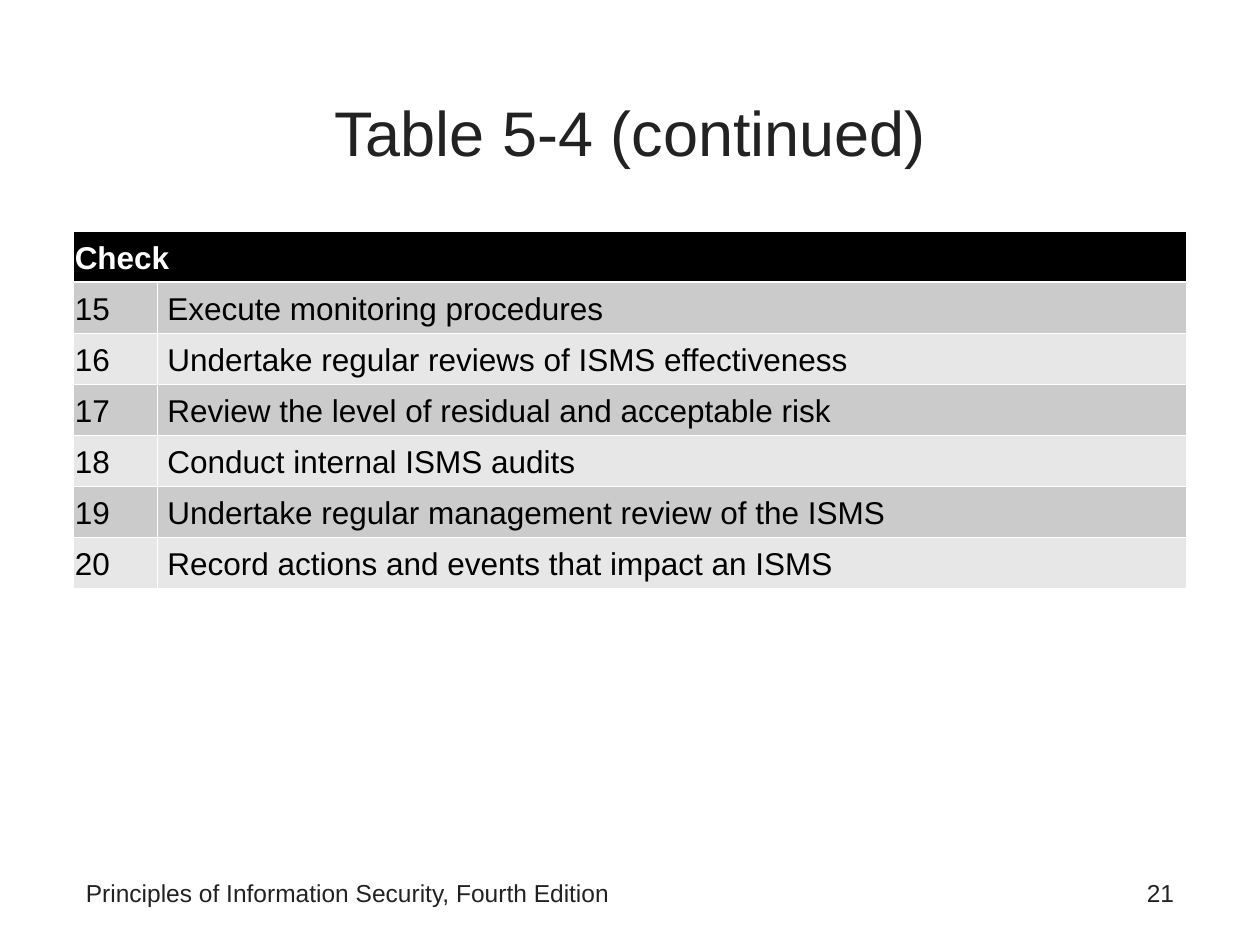
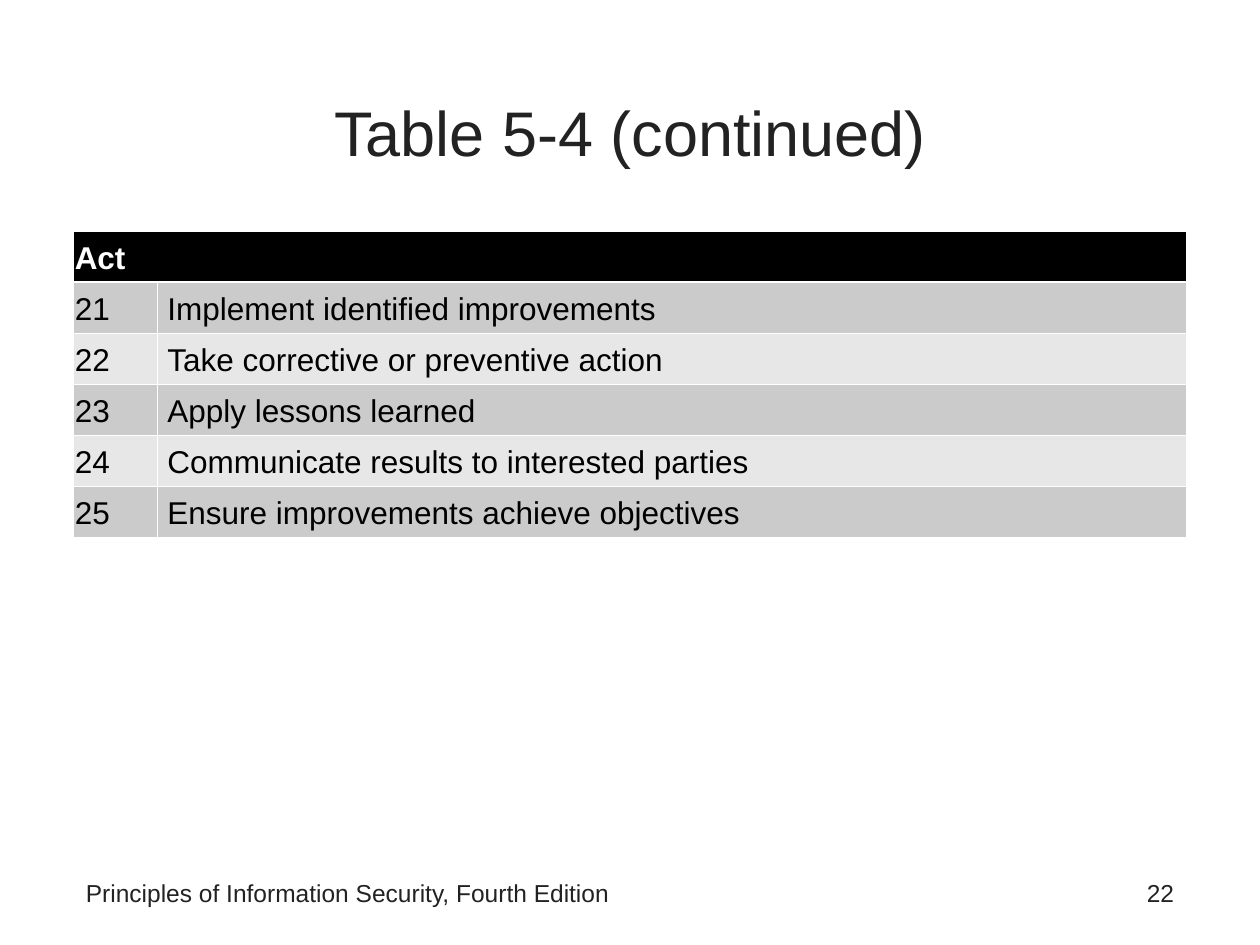
from lxml import etree
from pptx import Presentation
from pptx.dml.color import RGBColor
from pptx.enum.text import MSO_ANCHOR, MSO_AUTO_SIZE, PP_ALIGN
from pptx.oxml.ns import qn
from pptx.util import Pt

LEFT, CENTER, RIGHT = PP_ALIGN.LEFT, PP_ALIGN.CENTER, PP_ALIGN.RIGHT
MIDDLE, BOTTOM = MSO_ANCHOR.MIDDLE, MSO_ANCHOR.BOTTOM
NO_AUTOFIT = MSO_AUTO_SIZE.NONE

TITLE = "Table 5-4 (continued)"
FOOTER = "Principles of Information Security, Fourth Edition"
PHASES = [
    {"slide_number": 21, "name": "Check", "first_step": 15, "steps": [
        "Execute monitoring procedures",
        "Undertake regular reviews of ISMS effectiveness",
        "Review the level of residual and acceptable risk",
        "Conduct internal ISMS audits",
        "Undertake regular management review of the ISMS",
        "Record actions and events that impact an ISMS",
    ]},
    {"slide_number": 22, "name": "Act", "first_step": 21, "steps": [
        "Implement identified improvements",
        "Take corrective or preventive action",
        "Apply lessons learned",
        "Communicate results to interested parties",
        "Ensure improvements achieve objectives",
    ]},
]

FONT = "Arial"
INK, BLACK, WHITE = "222222", "000000", "FFFFFF"
BANDS = ("CBCBCB", "E7E7E7")
MARGIN, CONTENT_WIDTH = 42, 636
TABLE_TOP, ROW_HEIGHT = 132, 29.2
COLUMN_WIDTHS = (48, CONTENT_WIDTH - 48)
CELL_INSETS = (0.72, 5.72)
THIN, THICK = 0.45, 1.47
FOOTER_TOP, FOOTER_HEIGHT = 498, 30
FOOTER_WIDTH, NUMBER_WIDTH = 462, 162


def color(hex_string):
    return RGBColor.from_string(hex_string)


def write(text_frame, text, size, hex_color, alignment=LEFT, bold=False):
    text_frame.text = text
    paragraph = text_frame.paragraphs[0]
    paragraph.alignment = alignment
    font = paragraph.font
    font.name, font.size, font.bold = FONT, Pt(size), bold
    font.color.rgb = color(hex_color)


def add_title(slide):
    title = slide.shapes.title
    title.left, title.top = Pt(MARGIN), Pt(30)
    title.width, title.height = Pt(CONTENT_WIDTH), Pt(90)
    title.text_frame.auto_size = NO_AUTOFIT
    title.text_frame.vertical_anchor = MIDDLE
    write(title.text_frame, TITLE, 36, INK, CENTER)


def add_footer_text(slide, text, left, width, alignment):
    box = slide.shapes.add_textbox(Pt(left), Pt(FOOTER_TOP), Pt(width), Pt(FOOTER_HEIGHT))
    box.text_frame.word_wrap = True
    write(box.text_frame, text, 14, INK, alignment)


def set_borders(cell, top, bottom):
    """Draw white borders; call before the fill, which must follow them in the XML."""
    properties = cell._tc.get_or_add_tcPr()
    for side, width in (("L", THIN), ("R", THIN), ("T", top), ("B", bottom)):
        line = etree.SubElement(properties, qn(f"a:ln{side}"), w=str(int(Pt(width))))
        fill = etree.SubElement(line, qn("a:solidFill"))
        etree.SubElement(fill, qn("a:srgbClr"), val=WHITE)


def add_steps_table(slide, phase):
    steps = enumerate(phase["steps"], phase["first_step"])
    rows = [(phase["name"], "")] + [(str(number), step) for number, step in steps]
    frame = slide.shapes.add_table(len(rows), len(COLUMN_WIDTHS), Pt(MARGIN), Pt(TABLE_TOP),
                                   Pt(CONTENT_WIDTH), Pt(ROW_HEIGHT * len(rows)))
    table = frame.table
    for column, width in zip(table.columns, COLUMN_WIDTHS):
        column.width = Pt(width)
    for row_index, texts in enumerate(rows):
        table.rows[row_index].height = Pt(ROW_HEIGHT)
        is_header = row_index == 0
        for column_index, text in enumerate(texts):
            cell = table.cell(row_index, column_index)
            cell.margin_left, cell.margin_right = Pt(CELL_INSETS[column_index]), Pt(0.72)
            cell.margin_top = cell.margin_bottom = Pt(3.6)
            cell.vertical_anchor = BOTTOM
            set_borders(cell, top=THICK if row_index == 1 else THIN,
                        bottom=THICK if is_header else THIN)
            cell.fill.solid()
            cell.fill.fore_color.rgb = color(BLACK if is_header else BANDS[(row_index - 1) % 2])
            write(cell.text_frame, text, 18, WHITE if is_header else BLACK, bold=is_header)
    table.cell(0, 0).merge(table.cell(0, 1))


def main():
    presentation = Presentation()
    presentation.slide_width, presentation.slide_height = Pt(720), Pt(540)
    title_only = presentation.slide_layouts.get_by_name("Title Only")
    for phase in PHASES:
        slide = presentation.slides.add_slide(title_only)
        add_title(slide)
        add_steps_table(slide, phase)
        add_footer_text(slide, FOOTER, MARGIN, FOOTER_WIDTH, LEFT)
        add_footer_text(slide, str(phase["slide_number"]),
                        MARGIN + CONTENT_WIDTH - NUMBER_WIDTH, NUMBER_WIDTH, RIGHT)
    presentation.save("out.pptx")


if __name__ == "__main__":
    main()
